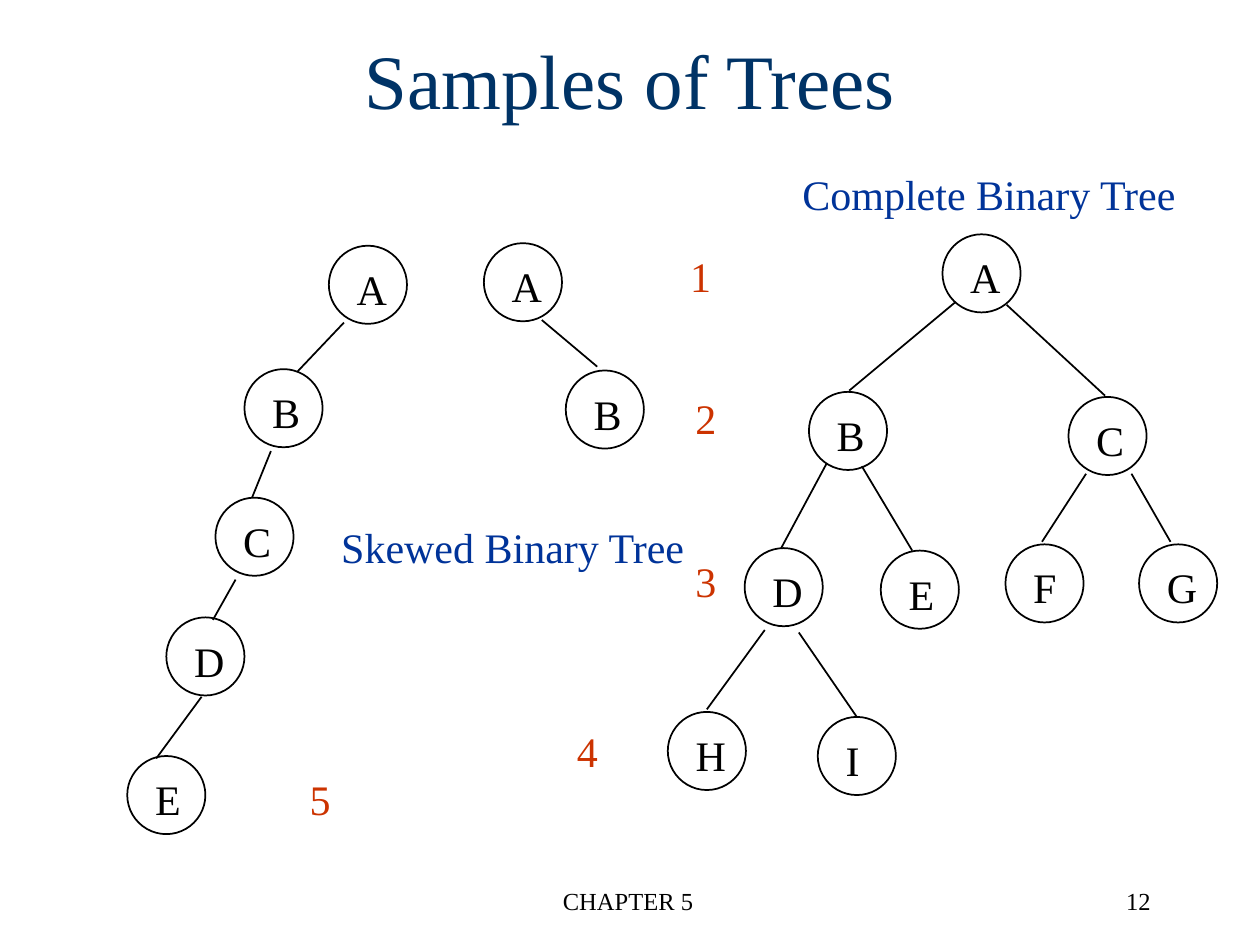
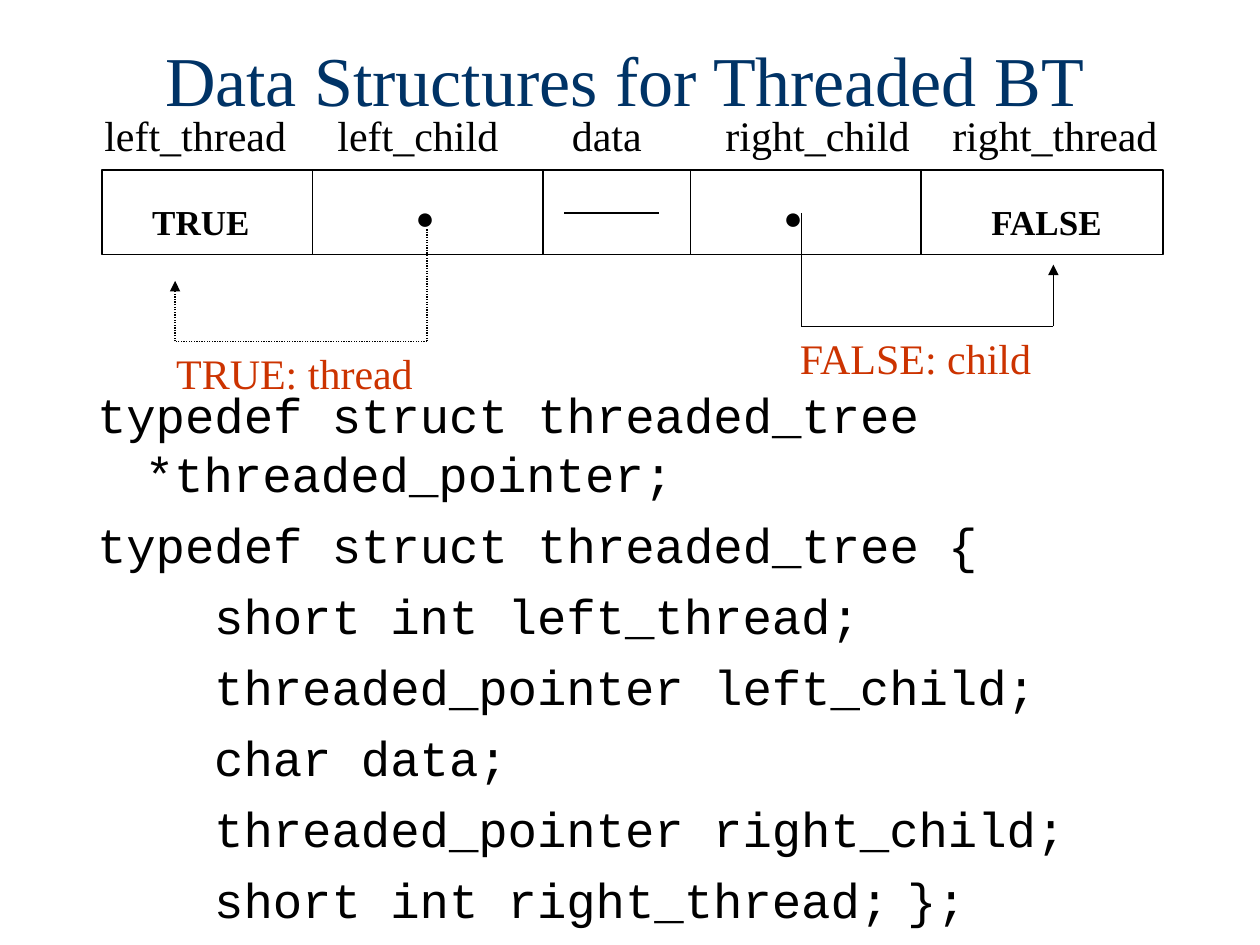
import dataclasses

import lxml.etree
import pptx
import pptx.dml.color
import pptx.enum.dml
import pptx.enum.shapes
import pptx.enum.text
import pptx.oxml.ns
import pptx.util

Inches = pptx.util.Inches
Pt = pptx.util.Pt
qn = pptx.oxml.ns.qn
ALIGN = pptx.enum.text.PP_ALIGN
ANCHOR = pptx.enum.text.MSO_ANCHOR


@dataclasses.dataclass(frozen=True)
class Theme:
    ink: str = "000000"
    title: str = "003366"
    caption: str = "003399"
    accent: str = "CC3300"
    serif: str = "Times New Roman"
    mono: str = "Courier New"
    symbol: str = "Arial"
    title_size: int = 44
    long_title_size: int = 40
    code_size: int = 28
    label_size: int = 24
    value_size: int = 20
    dot_size: int = 18
    footer_size: int = 14
    tree_line: float = 1
    record_line: float = 0.75


THEME = Theme()
NODE_SIZE = 0.62

# Nodes are (letter, left, top); edges are (x1, y1, x2, y2)
LEFT_SKEWED_NODES = [("A", 2.61, 1.95), ("B", 1.94, 2.93), ("C", 1.71, 3.95),
                     ("D", 1.32, 4.9), ("E", 1.01, 6)]
LEFT_SKEWED_EDGES = [(2.73, 2.56, 2.36, 2.95), (2.15, 3.58, 2, 3.95),
                     (1.87, 4.6, 1.69, 4.92), (1.6, 5.53, 1.24, 6.02)]
RIGHT_SKEWED_NODES = [("A", 3.84, 1.93), ("B", 4.49, 2.94)]
RIGHT_SKEWED_EDGES = [(4.3, 2.54, 4.74, 2.91)]
COMPLETE_NODES = [("A", 7.48, 1.86), ("B", 6.42, 3.11), ("C", 8.48, 3.15),
                  ("D", 5.91, 4.35), ("E", 6.99, 4.37), ("F", 7.98, 4.32),
                  ("G", 9.04, 4.32), ("H", 5.3, 5.65), ("I", 6.49, 5.69)]
COMPLETE_EDGES = [(7.58, 2.4, 6.74, 3.1), (7.99, 2.42, 8.77, 3.14),
                  (6.56, 3.68, 6.2, 4.35), (6.84, 3.7, 7.24, 4.37),
                  (8.62, 3.76, 8.27, 4.3), (8.98, 3.76, 9.29, 4.3),
                  (6.07, 5, 5.61, 5.63), (6.34, 5.02, 6.8, 5.69)]
LEVELS = [("1", 5.38, 1.94), ("2", 5.42, 3.07), ("3", 5.42, 4.36),
          ("4", 4.48, 5.71), ("5", 2.36, 6.09)]

RECORD_LEFT, RECORD_TOP, RECORD_WIDTH, RECORD_HEIGHT = 0.81, 1.35, 8.42, 0.67
DIVIDERS = [2.48, 4.31, 5.48, 7.31]
FIELDS = [("left_thread", 0.73), ("left_child", 2.58), ("data", 4.44),
          ("right_child", 5.66), ("right_thread", 7.46)]
DECLARATIONS = ["typedef struct threaded_tree *threaded_pointer;",
                "typedef struct threaded_tree {"]
MEMBERS = ["short int left_thread;", "threaded_pointer left_child;", "char data;",
           "threaded_pointer right_child;", "short int right_thread;\t};"]


def write(paragraph, text, size=THEME.label_size, color=THEME.ink,
          font=THEME.serif, bold=False, align=ALIGN.LEFT):
    """Put formatted text into a paragraph."""
    paragraph.alignment = align
    run = paragraph.add_run()
    run.text = text
    run.font.name = font
    run.font.size = Pt(size)
    run.font.bold = bold
    run.font.color.rgb = pptx.dml.color.RGBColor.from_string(color)


def place(shape, left, top, width, height):
    shape.left, shape.top = Inches(left), Inches(top)
    shape.width, shape.height = Inches(width), Inches(height)


def add_label(slide, text, left, top, width, height=0.5, **text_format):
    label = slide.shapes.add_textbox(Inches(left), Inches(top), Inches(width), Inches(height))
    label.text_frame.word_wrap = True
    write(label.text_frame.paragraphs[0], text, **text_format)


def set_title(slide, text, left, width, **text_format):
    heading = slide.shapes.title
    place(heading, left, 0, width, 1.25)
    frame = heading.text_frame
    frame.vertical_anchor = ANCHOR.MIDDLE
    frame.auto_size = pptx.enum.text.MSO_AUTO_SIZE.NONE
    write(frame.paragraphs[0], text, color=THEME.title, **text_format)


def add_footer(slide, chapter, number):
    add_label(slide, chapter, 3.4, 6.98, 3.17, size=THEME.footer_size, align=ALIGN.CENTER)
    add_label(slide, number, 7.15, 6.98, 2.08, size=THEME.footer_size, align=ALIGN.RIGHT)


def add_outline(slide, preset, left, top, width, height, weight):
    """Add an unfilled shape with a black outline."""
    outline = slide.shapes.add_shape(preset, Inches(left), Inches(top),
                                     Inches(width), Inches(height))
    outline.shadow.inherit = False
    outline.fill.background()
    outline.line.color.rgb = pptx.dml.color.RGBColor.from_string(THEME.ink)
    outline.line.width = Pt(weight)
    return outline


def add_line(slide, x1, y1, x2, y2, weight=THEME.record_line, dotted=False, arrow=False):
    link = slide.shapes.add_connector(pptx.enum.shapes.MSO_CONNECTOR.STRAIGHT,
                                      Inches(x1), Inches(y1), Inches(x2), Inches(y2))
    link.line.color.rgb = pptx.dml.color.RGBColor.from_string(THEME.ink)
    link.line.width = Pt(weight)
    if dotted:
        link.line.dash_style = pptx.enum.dml.MSO_LINE.ROUND_DOT
    properties = link.element.spPr
    if arrow:
        lxml.etree.SubElement(properties.find(qn("a:ln")), qn("a:tailEnd"), type="triangle")
    lxml.etree.SubElement(properties, qn("a:effectLst"))


def add_tree(slide, nodes, edges):
    for letter, left, top in nodes:
        node = add_outline(slide, pptx.enum.shapes.MSO_SHAPE.OVAL, left, top,
                           NODE_SIZE, NODE_SIZE, THEME.tree_line)
        frame = node.text_frame
        frame.vertical_anchor = ANCHOR.TOP
        frame.margin_left, frame.margin_top = Inches(0.13), Inches(0.05)
        frame.margin_right = frame.margin_bottom = 0
        write(frame.paragraphs[0], letter)
    for edge in edges:
        add_line(slide, *edge, weight=THEME.tree_line)


def add_record(slide):
    """Draw the node record with its field names and values."""
    add_outline(slide, pptx.enum.shapes.MSO_SHAPE.RECTANGLE, RECORD_LEFT, RECORD_TOP,
                RECORD_WIDTH, RECORD_HEIGHT, THEME.record_line)
    for x in DIVIDERS:
        add_line(slide, x, RECORD_TOP, x, RECORD_TOP + RECORD_HEIGHT)
    for field, left in FIELDS:
        add_label(slide, field, left, 0.82, 1.9)
    for flag, left in [("TRUE", 1.11), ("FALSE", 7.77)]:
        add_label(slide, flag, left, 1.54, 1.2, 0.44, size=THEME.value_size, bold=True)
    for left in (3.2, 6.12):
        add_label(slide, "●", left, 1.52, 0.45, 0.4, size=THEME.dot_size, font=THEME.symbol)
    add_line(slide, 4.48, 1.69, 5.23, 1.69)


def add_pointer(slide, start_x, start_y, end_x, end_y, floor, dotted=False):
    """Lead down from a child field, across, and up to its thread flag."""
    add_line(slide, start_x, start_y, start_x, floor, dotted=dotted)
    add_line(slide, start_x, floor, end_x, floor, dotted=dotted)
    add_line(slide, end_x, floor, end_x, end_y, dotted=dotted, arrow=True)


def add_code_line(paragraph, code, margin, indent, tab_stop):
    properties = paragraph._p.get_or_add_pPr()
    properties.set("marL", str(Inches(margin)))
    properties.set("indent", str(Inches(indent)))
    paragraph.space_before = Pt(7)
    lxml.etree.SubElement(properties, qn("a:buNone"))
    tabs = lxml.etree.SubElement(properties, qn("a:tabLst"))
    lxml.etree.SubElement(tabs, qn("a:tab"), pos=str(Inches(tab_stop)), algn="l")
    write(paragraph, code, size=THEME.code_size, font=THEME.mono)


def set_code(slide):
    listing = slide.placeholders[1]
    place(listing, 0.67, 3, 9.33, 4.5)
    frame = listing.text_frame
    frame.auto_size = pptx.enum.text.MSO_AUTO_SIZE.NONE
    lines = [(code, 0.38, -0.38) for code in DECLARATIONS]
    lines += [(code, 0.93, 0) for code in MEMBERS]
    for index, (code, margin, indent) in enumerate(lines):
        paragraph = frame.add_paragraph() if index else frame.paragraphs[0]
        add_code_line(paragraph, code, margin, indent, tab_stop=6.77)


def build_samples(deck):
    slide = deck.slides.add_slide(deck.slide_layouts[5])
    set_title(slide, "Samples of Trees", 0, 10.0, size=THEME.title_size, align=ALIGN.CENTER)
    # Trees and their captions
    add_tree(slide, LEFT_SKEWED_NODES, LEFT_SKEWED_EDGES)
    add_tree(slide, RIGHT_SKEWED_NODES, RIGHT_SKEWED_EDGES)
    add_tree(slide, COMPLETE_NODES, COMPLETE_EDGES)
    add_label(slide, "Complete Binary Tree", 6.27, 1.29, 3.3, color=THEME.caption)
    add_label(slide, "Skewed Binary Tree", 2.61, 4.09, 3.1, color=THEME.caption)
    # Level numbers
    for level, left, top in LEVELS:
        add_label(slide, level, left, top, 0.4, color=THEME.accent)
    add_footer(slide, "CHAPTER 5", "12")


def build_threaded(deck):
    slide = deck.slides.add_slide(deck.slide_layouts[1])
    set_title(slide, "Data Structures for Threaded BT", 1.21, 7.65, size=THEME.long_title_size)
    add_record(slide)
    # Pointers and their meanings
    add_pointer(slide, 3.39, 1.82, 1.39, 2.23, floor=2.71, dotted=True)
    add_pointer(slide, 6.36, 1.69, 8.36, 2.1, floor=2.59)
    add_label(slide, "TRUE: thread", 1.3, 2.71, 2.3, color=THEME.accent)
    add_label(slide, "FALSE: child", 6.25, 2.59, 2.3, color=THEME.accent)
    set_code(slide)


def main():
    deck = pptx.Presentation()
    deck.slide_width, deck.slide_height = Inches(10), Inches(7.5)
    build_samples(deck)
    build_threaded(deck)
    deck.save("out.pptx")


if __name__ == "__main__":
    main()
